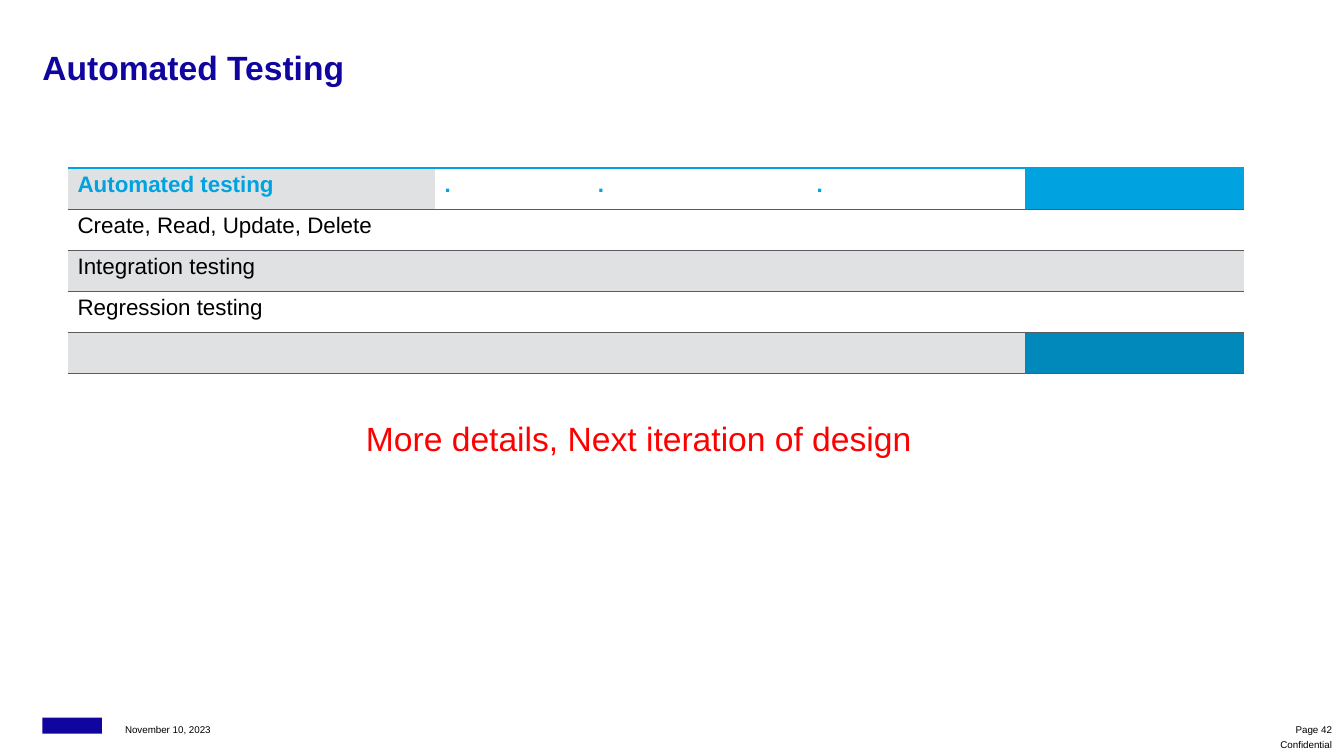
"""Build the Automated Testing slide with its test table."""
from lxml.etree import SubElement
from pptx import Presentation
from pptx.dml.color import RGBColor
from pptx.enum.shapes import MSO_SHAPE
from pptx.enum.text import MSO_ANCHOR, PP_ALIGN
from pptx.oxml.ns import qn
from pptx.util import Inches, Pt

COLORS = {
    "navy": "10069F", "blue": "00A3E0", "dark_blue": "0089BA", "gray": "E0E1E3",
    "rule": "5A5B5E", "white": "FFFFFF", "black": "000000", "red": "FF0000",
}
NO_STYLE = "{2D5ABB26-0587-4C30-8999-92F81FD0307C}"


def write_text(frame, text, size, color="black", bold=False, align=PP_ALIGN.LEFT,
               anchor=MSO_ANCHOR.TOP, margins=(0, 0), spacing=0.95, before=0, after=0):
    """Put one formatted paragraph into a text frame."""
    frame.word_wrap = True
    frame.vertical_anchor = anchor
    frame.margin_left = frame.margin_right = Inches(margins[0])
    frame.margin_top = frame.margin_bottom = Inches(margins[1])
    paragraph = frame.paragraphs[0]
    paragraph.alignment = align
    paragraph.line_spacing = spacing
    paragraph.space_before, paragraph.space_after = Pt(before), Pt(after)
    run = paragraph.add_run()
    run.text = text
    run.font.name, run.font.size, run.font.bold = "Arial", Pt(size), bold
    run.font.color.rgb = RGBColor.from_string(COLORS[color])


def add_border(cell, side, color, width):
    """Draw one edge of a table cell."""
    line = SubElement(cell._tc.get_or_add_tcPr(), qn(f"a:{side}"), w=str(Pt(width)))
    fill = SubElement(line, qn("a:solidFill"))
    SubElement(fill, qn("a:srgbClr"), val=COLORS[color])


presentation = Presentation()
presentation.slide_width, presentation.slide_height = Inches(13.33), Inches(7.5)
slide = presentation.slides.add_slide(presentation.slide_layouts[5])

title = slide.shapes.title
title.left, title.top = Inches(0.42), Inches(0.47)
title.width, title.height = Inches(11.88), Inches(0.41)
write_text(title.text_frame, "Automated Testing", 24, color="navy", bold=True, spacing=1)

rows = [
    ["Automated testing", ".", ".", ".", ""],
    ["Create, Read, Update, Delete"],
    ["Integration testing"],
    ["Regression testing"],
    [],
]
column_widths = [3.64, 1.52, 2.17, 2.17, 2.17]
special_fills = {(0, 0): "gray", (0, 4): "blue", (4, 4): "dark_blue"}
table = slide.shapes.add_table(
    len(rows), len(column_widths), Inches(0.67), Inches(1.67), Inches(11.67), Inches(2.03)
).table
table._tbl.tblPr.find(qn("a:tableStyleId")).text = NO_STYLE
for column, width in zip(table.columns, column_widths):
    column.width = Inches(width)

for row_index, texts in enumerate(rows):
    is_header = row_index == 0
    band = "gray" if row_index in (2, 4) else "white"
    for column_index in range(len(column_widths)):
        cell = table.cell(row_index, column_index)
        add_border(cell, "lnT", "blue" if is_header else "rule", 1.5 if is_header else 0.5)
        add_border(cell, "lnB", "rule", 0.5)
        cell.fill.solid()
        fill_name = special_fills.get((row_index, column_index), band)
        cell.fill.fore_color.rgb = RGBColor.from_string(COLORS[fill_name])
        if column_index < len(texts) and texts[column_index]:
            write_text(cell.text_frame, texts[column_index], 16,
                       color="blue" if is_header else "black", bold=is_header,
                       margins=(0.1, 0.05), before=3.7, after=3.7)

text_boxes = [
    ("More details, Next iteration of design", (3.5, 4.18, 5.67, 0.38),
     dict(size=24, color="red", align=PP_ALIGN.CENTER, before=3.7, after=7.4)),
    ("November 10, 2023", (1.24, 7.17, 1.18, 0.15),
     dict(size=7, anchor=MSO_ANCHOR.MIDDLE)),
    ("Page 42", (12.5, 7.17, 0.71, 0.15),
     dict(size=7, align=PP_ALIGN.RIGHT, anchor=MSO_ANCHOR.MIDDLE)),
    ("Confidential", (12.5, 7.28, 0.71, 0.22),
     dict(size=7, align=PP_ALIGN.RIGHT, anchor=MSO_ANCHOR.MIDDLE)),
]
for text, box, text_format in text_boxes:
    text_box = slide.shapes.add_textbox(*map(Inches, box))
    write_text(text_box.text_frame, text, **text_format)

brand_block = slide.shapes.add_shape(
    MSO_SHAPE.RECTANGLE, Inches(0.42), Inches(7.12), Inches(0.59), Inches(0.16)
)
brand_block.shadow.inherit = False
brand_block.fill.solid()
brand_block.fill.fore_color.rgb = RGBColor.from_string(COLORS["navy"])
brand_block.line.fill.background()

presentation.save("out.pptx")
